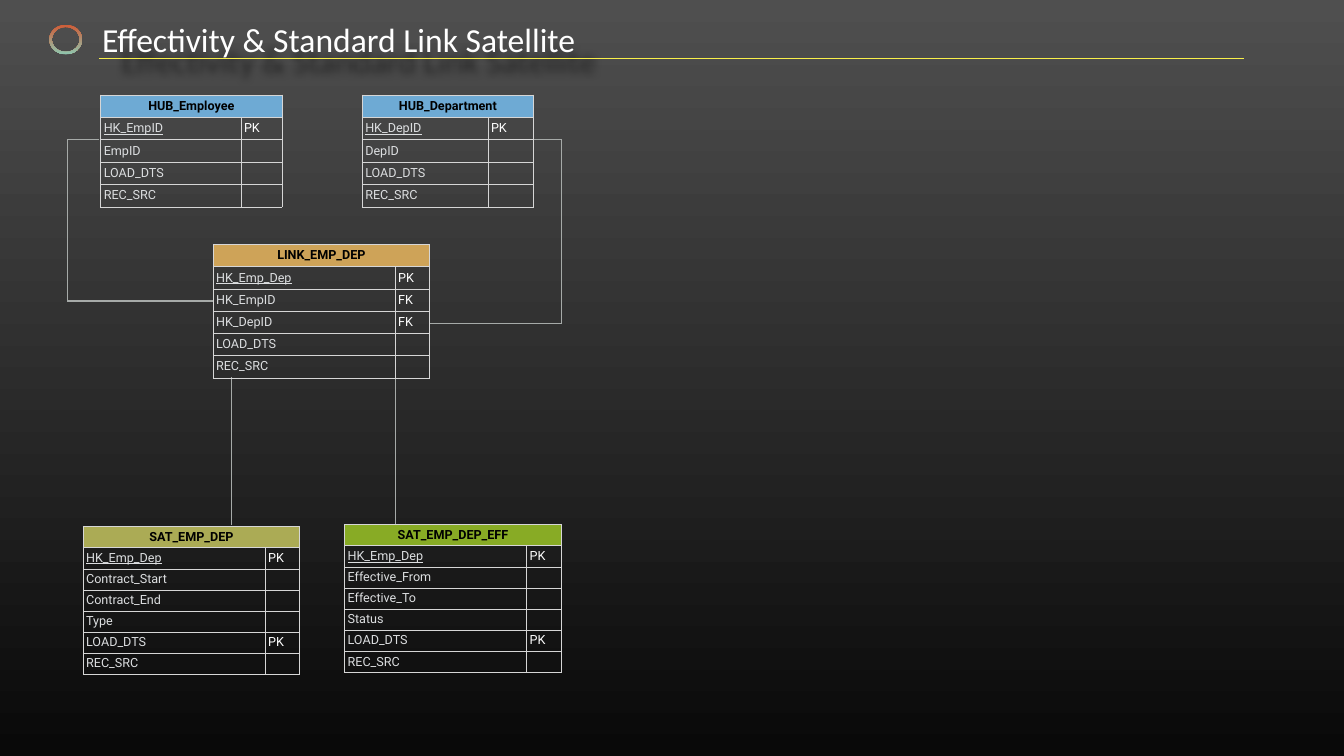
from itertools import pairwise
from lxml import etree
from pptx import Presentation
from pptx.dml.color import RGBColor
from pptx.enum.shapes import MSO_CONNECTOR, MSO_SHAPE
from pptx.enum.text import MSO_ANCHOR, MSO_AUTO_SIZE, PP_ALIGN
from pptx.oxml.ns import qn
from pptx.util import Cm, Pt

STRAIGHT, DONUT = MSO_CONNECTOR.STRAIGHT, MSO_SHAPE.DONUT
MIDDLE, CENTER, LEFT = MSO_ANCHOR.MIDDLE, PP_ALIGN.CENTER, PP_ALIGN.LEFT
GROW = MSO_AUTO_SIZE.SHAPE_TO_FIT_TEXT

# Content: lengths in cm
TITLE = "Effectivity & Standard Link Satellite"
BORDER, WIRE, WHITE, FIELD, BLACK = "D6D6D6", "A6AAA8", "FFFFFF", "DCDEE0", "000000"

# name, header colour, left, top, column widths, row height, (field, key) rows
TABLES = [
    ("HUB_Employee", "6EAAD4", 5.08, 4.78, (7.07, 2.06), 1.13,
     [("HK_EmpID", "PK"), ("EmpID", ""), ("LOAD_DTS", ""), ("REC_SRC", "")]),
    ("HUB_Department", "6EAAD4", 18.26, 4.78, (6.34, 2.29), 1.13,
     [("HK_DepID", "PK"), ("DepID", ""), ("LOAD_DTS", ""), ("REC_SRC", "")]),
    ("LINK_EMP_DEP", "CEA358", 10.74, 12.32, (9.18, 1.74), 1.12,
     [("HK_Emp_Dep", "PK"), ("HK_EmpID", "FK"), ("HK_DepID", "FK"),
      ("LOAD_DTS", ""), ("REC_SRC", "")]),
    ("SAT_EMP_DEP", "ABAB55", 4.19, 26.54, (9.18, 1.74), 1.06,
     [("HK_Emp_Dep", "PK"), ("Contract_Start", ""), ("Contract_End", ""),
      ("Type", ""), ("LOAD_DTS", "PK"), ("REC_SRC", "")]),
    ("SAT_EMP_DEP_EFF", "88AB25", 17.37, 26.44, (9.18, 1.74), 1.06,
     [("HK_Emp_Dep", "PK"), ("Effective_From", ""), ("Effective_To", ""),
      ("Status", ""), ("LOAD_DTS", "PK"), ("REC_SRC", "")]),
]

# Each route is a chain of corner points
ROUTES = [
    [(4.98, 7.02), (3.4, 7.02), (3.4, 15.17), (10.77, 15.17)],
    [(26.82, 7.02), (28.3, 7.02), (28.3, 16.31), (21.64, 16.31)],
    [(11.68, 19.02), (11.68, 26.47)],
    [(19.94, 19.02), (19.94, 26.47)],
]


def rgb(color):
    return RGBColor.from_string(color)


def gradient(fill, first, last):
    fill.gradient()
    fill.gradient_angle = 270
    for stop, color in zip(fill.gradient_stops, (first, last)):
        stop.color.rgb = rgb(color)


def add_run(p, text, font, size, color, bold=False, underline=False):
    r = p.add_run()
    r.text = text
    r.font.name, r.font.size = font, Pt(size)
    r.font.bold, r.font.underline = bold, underline
    r.font.color.rgb = rgb(color)


def add_line(s, start, end, color, width):
    line = s.shapes.add_connector(STRAIGHT, *map(Cm, start + end))
    line.line.color.rgb = rgb(color)
    line.line.width = Pt(width)
    etree.SubElement(line._element.spPr, qn("a:effectLst"))


def style_cell(cell, fill=None):
    cell.margin_left = cell.margin_right = Cm(0.15)
    cell.margin_top = cell.margin_bottom = Cm(0.15)
    cell.vertical_anchor = MIDDLE
    tcPr = cell._tc.get_or_add_tcPr()
    for side in ("lnL", "lnR", "lnT", "lnB"):
        ln = etree.SubElement(tcPr, qn(f"a:{side}"), w=str(Pt(1)))
        solid = etree.SubElement(ln, qn("a:solidFill"))
        etree.SubElement(solid, qn("a:srgbClr"), val=BORDER)
    if fill:
        cell.fill.solid()
        cell.fill.fore_color.rgb = rgb(fill)
    else:
        cell.fill.background()


def add_entity(s, name, color, left, top, widths, row_height, fields):
    count = len(fields) + 1
    table = s.shapes.add_table(count, 2, Cm(left), Cm(top), Cm(sum(widths)),
                               Cm(row_height * count)).table
    table.first_row = table.horz_banding = False
    for column, width in zip(table.columns, widths):
        column.width = Cm(width)
    for row in table.rows:
        row.height = Cm(row_height)

    # Header across both columns
    header = table.cell(0, 0)
    for col in range(2):
        style_cell(table.cell(0, col), color)
    header.merge(table.cell(0, 1))
    p = header.text_frame.paragraphs[0]
    p.alignment = CENTER
    add_run(p, name, "Roboto", 18, BLACK, bold=True)

    # Fields and keys; the hash key in the first row is underlined
    for row, texts in enumerate(fields, 1):
        for col, text in enumerate(texts):
            cell = table.cell(row, col)
            style_cell(cell)
            p = cell.text_frame.paragraphs[0]
            p.alignment = LEFT
            add_run(p, text, "Roboto", 18, (FIELD, WHITE)[col],
                    underline=row == 1 and col == 0)


def add_title(s):
    box = s.shapes.add_textbox(Cm(4.95), Cm(0.99), Cm(26.85), Cm(1.96))
    tf = box.text_frame
    tf.word_wrap, tf.auto_size, tf.vertical_anchor = True, GROW, MIDDLE
    tf.margin_left = tf.margin_right = tf.margin_top = tf.margin_bottom = Cm(0.2)
    add_run(tf.paragraphs[0], TITLE, "Calibri", 48, WHITE)

    # Soft shadow down and to the right
    effects = etree.SubElement(box._element.spPr, qn("a:effectLst"))
    shadow = etree.SubElement(effects, qn("a:outerShdw"), blurRad=str(Cm(0.4)),
                              dist=str(Cm(1.4)), dir="2700000", rotWithShape="0")
    black = etree.SubElement(shadow, qn("a:srgbClr"), val=BLACK)
    etree.SubElement(black, qn("a:alpha"), val="50000")


def main():
    prs = Presentation()
    prs.slide_width, prs.slide_height = Cm(67.74), Cm(38.1)
    s = prs.slides.add_slide(prs.slide_layouts[6])
    gradient(s.background.fill, "4F4F4F", "090909")

    # Title, rule and plain ring
    add_title(s)
    add_line(s, (5.0, 2.92), (62.71, 2.92), "F8EF4A", 1)
    ring = s.shapes.add_shape(DONUT, Cm(2.49), Cm(1.24), Cm(1.65), Cm(1.5))
    ring.adjustments[0] = 0.08
    ring.shadow.inherit = False
    ring.line.fill.background()
    gradient(ring.fill, "CF5C37", "8FC5AE")

    # Relations and entities
    for route in ROUTES:
        for start, end in pairwise(route):
            add_line(s, start, end, WIRE, 2)
    for entity in TABLES:
        add_entity(s, *entity)

    prs.save("out.pptx")


if __name__ == "__main__":
    main()
